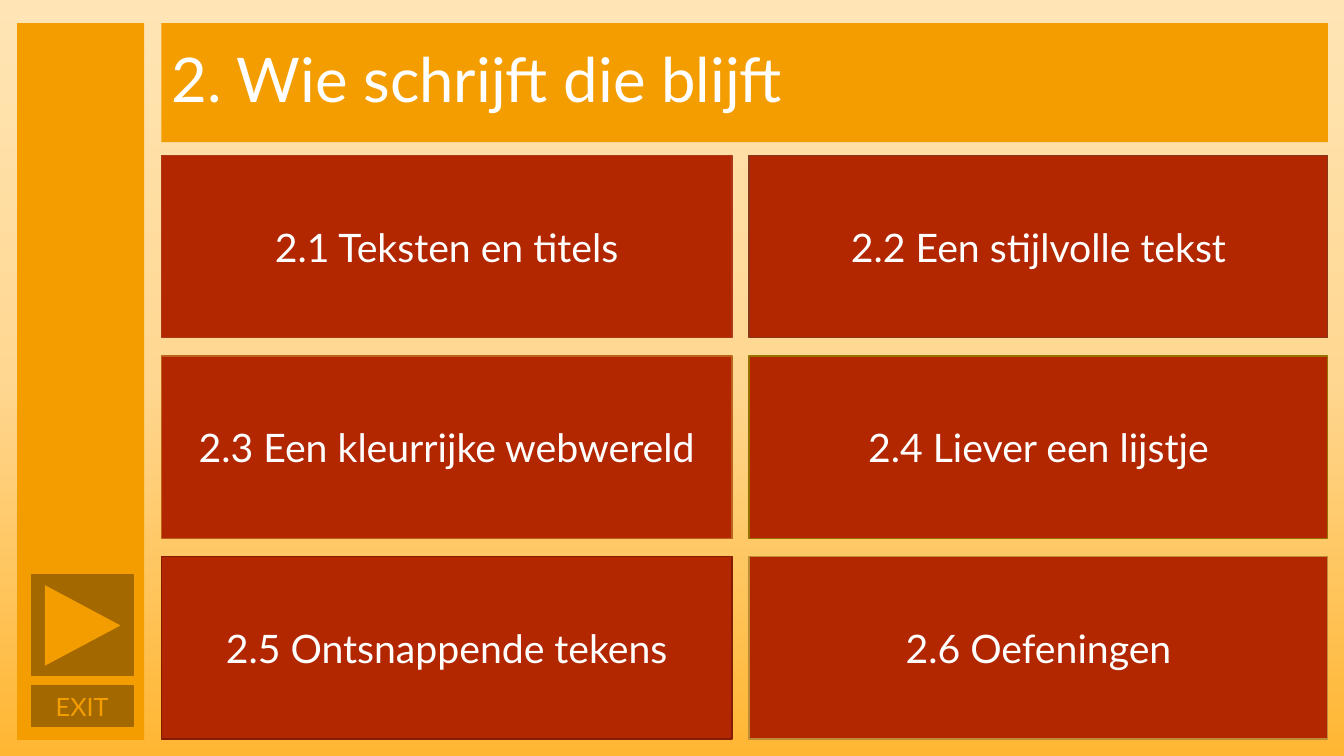
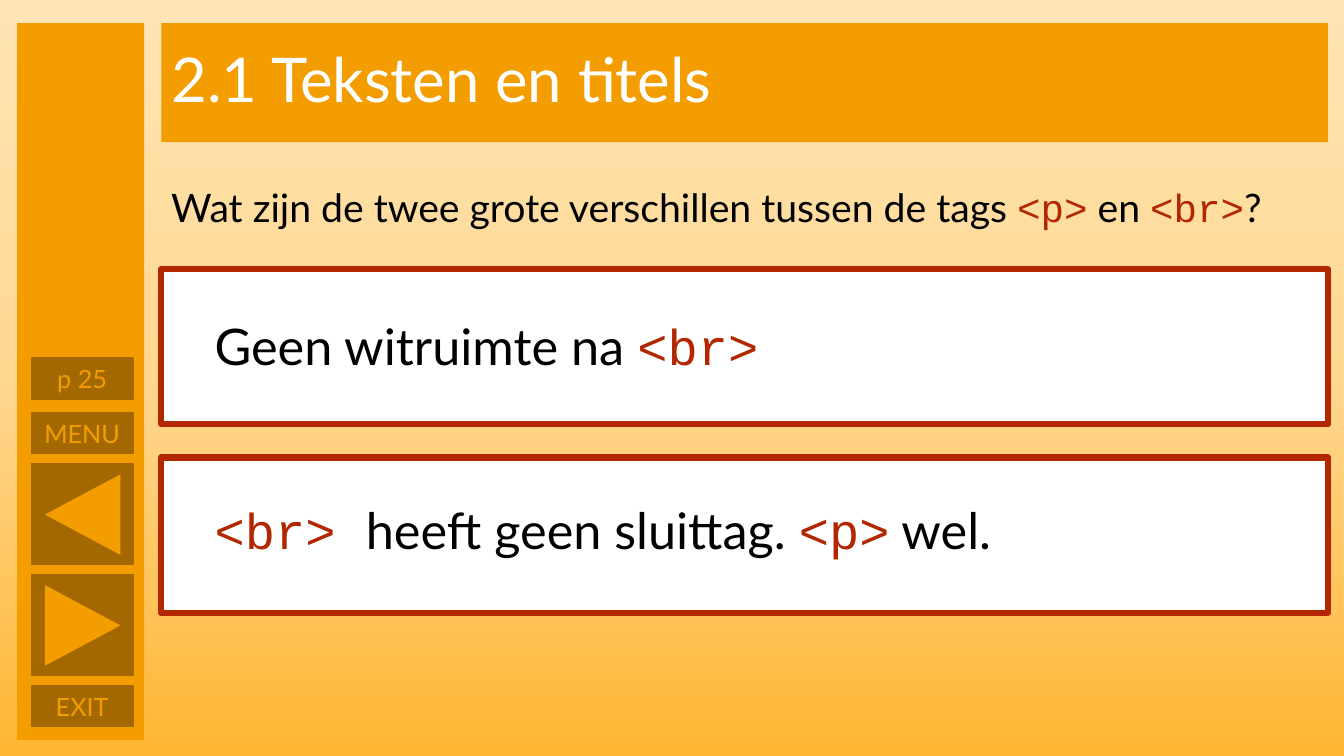
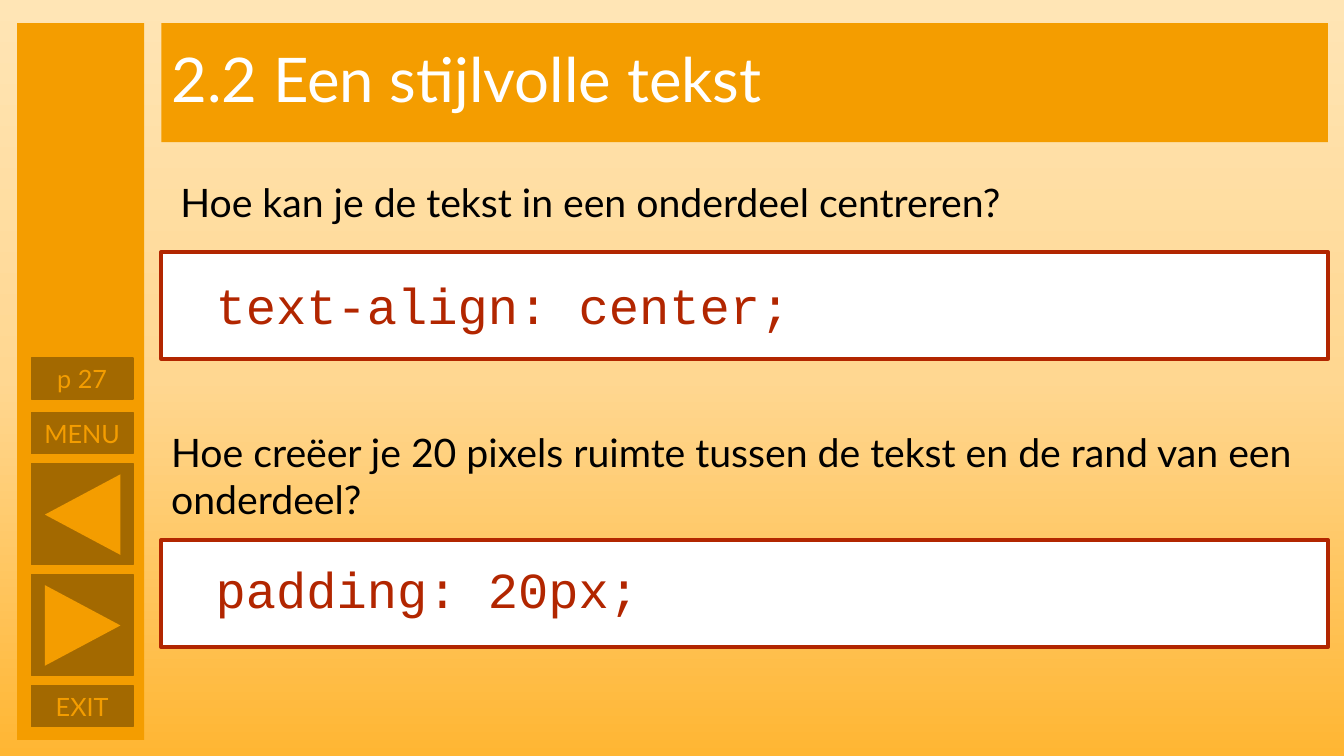
import copy

import pptx
import pptx.dml.color
import pptx.enum.shapes
import pptx.enum.text
import pptx.oxml.ns
import pptx.util

SHAPE = pptx.enum.shapes.MSO_SHAPE
ALIGN = pptx.enum.text.PP_ALIGN
ANCHOR = pptx.enum.text.MSO_ANCHOR

EMU_PER_PX = 9144  # 100 px to the inch


def px(n):
    return pptx.util.Emu(n * EMU_PER_PX)


def rgb(value):
    return pptx.dml.color.RGBColor.from_string(value)


class Deck:
    """Holds the shared style and the slide being filled."""

    ORANGE, BROWN, RED = "F49D00", "A36900", "B22600"
    WHITE, BLACK = "FFFFFF", "000000"
    BACKGROUND = [(0, "FFE5B5"), (0.5, "FFD791"), (1, "FFB633")]
    FONT, CODE_FONT = "Lato", "Courier New"
    LEFT, TOP, WIDTH = 160, 23, 1157

    def __init__(self):
        self.prs = pptx.Presentation()
        self.prs.slide_width, self.prs.slide_height = px(1333), px(750)
        self.s = None
        self.paint_background()

    def paint_background(self):
        master = self.prs.slide_master
        fill = master.background.fill
        fill.gradient()
        fill.gradient_angle = 270
        stops = master.element.find(".//" + pptx.oxml.ns.qn("a:gsLst"))
        stops.append(copy.deepcopy(stops[0]))
        for stop, (position, color) in zip(fill.gradient_stops, self.BACKGROUND):
            stop.position = position
            stop.color.rgb = rgb(color)

    def style(self, font, size, color, name=FONT):
        font.size = pptx.util.Pt(size)
        font.name = name
        font.color.rgb = rgb(color)

    def place(self, sp, x, y, w, h):
        sp.left, sp.top, sp.width, sp.height = px(x), px(y), px(w), px(h)

    def new_slide(self, title, page=None):
        """Start a slide with title and sidebar; a page number adds menu and back buttons."""
        self.s = self.prs.slides.add_slide(self.prs.slide_layouts[5])
        sp = self.s.shapes.title
        self.place(sp, self.LEFT, self.TOP, self.WIDTH, 118)
        sp.fill.solid()
        sp.fill.fore_color.rgb = rgb(self.ORANGE)
        tf = sp.text_frame
        tf.text = title
        tf.auto_size = pptx.enum.text.MSO_AUTO_SIZE.NONE
        tf.vertical_anchor = ANCHOR.MIDDLE
        p = tf.paragraphs[0]
        p.alignment = ALIGN.LEFT
        p.line_spacing = 0.9
        self.style(p.font, 44, self.WHITE)

        self.box(17, self.TOP, 126, 711, self.ORANGE)
        self.button(680, "EXIT")
        self.arrow_button(570, 90)
        if page:
            self.arrow_button(460, 270)
            self.button(409, "MENU")
            self.button(355, page)

    def box(self, x, y, w, h, fill, line=None, weight=1, shape=SHAPE.RECTANGLE):
        sp = self.s.shapes.add_shape(shape, px(x), px(y), px(w), px(h))
        sp.shadow.inherit = False
        sp.fill.solid()
        sp.fill.fore_color.rgb = rgb(fill)
        if line:
            sp.line.color.rgb = rgb(line)
            sp.line.width = pptx.util.Pt(weight)
        else:
            sp.line.fill.background()
        return sp

    def label(self, sp, text, size, color):
        """Write centred text inside a shape."""
        tf = sp.text_frame
        tf.text = text
        tf.vertical_anchor = ANCHOR.MIDDLE
        p = tf.paragraphs[0]
        p.alignment = ALIGN.CENTER
        self.style(p.font, size, color)

    def button(self, y, text):
        sp = self.box(31, y, 101, 41, self.BROWN, self.BROWN)
        self.label(sp, text, 18, self.ORANGE)

    def arrow_button(self, y, rotation):
        self.box(31, y, 101, 100, self.BROWN, self.BROWN)
        arrow = self.box(42, y + 13, 80, 75, self.ORANGE,
                         shape=SHAPE.ISOSCELES_TRIANGLE)
        arrow.rotation = rotation

    def card(self, x, y, w, h, text, line):
        self.label(self.box(x, y, w, h, self.RED, line), text, 28, self.WHITE)

    def text(self, x, y, w, h, text, size):
        """Add a text box; parts between backticks are set as code."""
        tf = self.s.shapes.add_textbox(px(x), px(y), px(w), px(h)).text_frame
        tf.word_wrap = True
        p = tf.paragraphs[0]
        for i, part in enumerate(text.split("`")):
            if not part:
                continue
            r = p.add_run()
            r.text = part
            if i % 2:
                self.style(r.font, size, self.RED, self.CODE_FONT)
            else:
                self.style(r.font, size, self.BLACK)

    def question(self, y, text, x=LEFT, h=57):
        self.text(x, y, self.WIDTH, h, text, 28)

    def answer(self, y, h, weight, text_x, text_y, text):
        self.box(self.LEFT, y, self.WIDTH, h, self.WHITE, self.RED, weight)
        self.text(text_x, text_y, 873, 71, text, 36)


def main():
    deck = Deck()

    deck.new_slide("2. Wie schrijft die blijft")
    chapters = [
        ("2.1 Teksten en titels", "AC3819"),
        ("2.2 Een stijlvolle tekst", "87361C"),
        ("2.3 Een kleurrijke webwereld", "BD621D"),
        ("2.4 Liever een lijstje", "977100"),
        ("2.5 Ontsnappende tekens", "841C00"),
        ("2.6 Oefeningen", "BD8C35"),
    ]
    columns = [(160, 566), (743, 574)]
    for i, (chapter, line) in enumerate(chapters):
        row, column = divmod(i, 2)
        x, w = columns[column]
        deck.card(x, 154 + 199 * row, w, 181, chapter, line)

    deck.new_slide("2.1 Teksten en titels", "p 25")
    deck.question(177, "Wat zijn de twee grote verschillen tussen de tags `<p>` en `<br>`?")
    deck.answer(267, 154, 4.5, 203, 308, "Geen witruimte na `<br>`")
    deck.answer(454, 154, 4.5, 203, 490, "`<br> `heeft geen sluittag. `<p>` wel.")

    deck.new_slide("2.2 Een stijlvolle tekst", "p 27")
    deck.question(172, "Hoe kan je de tekst in een onderdeel centreren?", x=169)
    deck.answer(250, 106, 3, 204, 267, "`text-align: center;`")
    deck.question(420, "Hoe creëer je 20 pixels ruimte tussen de tekst en de rand "
                       "van een onderdeel?", h=104)
    deck.answer(536, 106, 3, 204, 549, "`padding: 20px;`")

    deck.prs.save("out.pptx")


if __name__ == "__main__":
    main()
